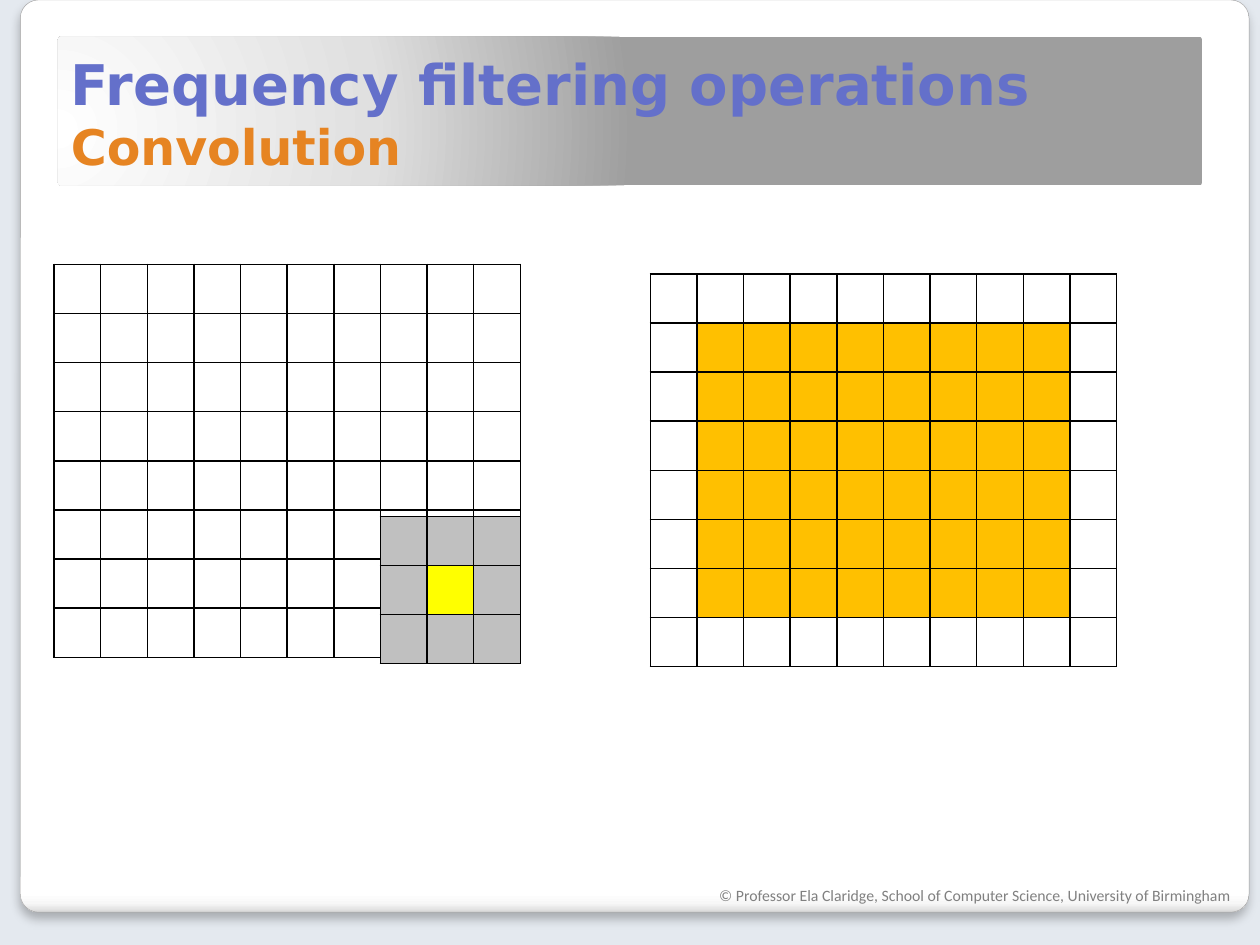
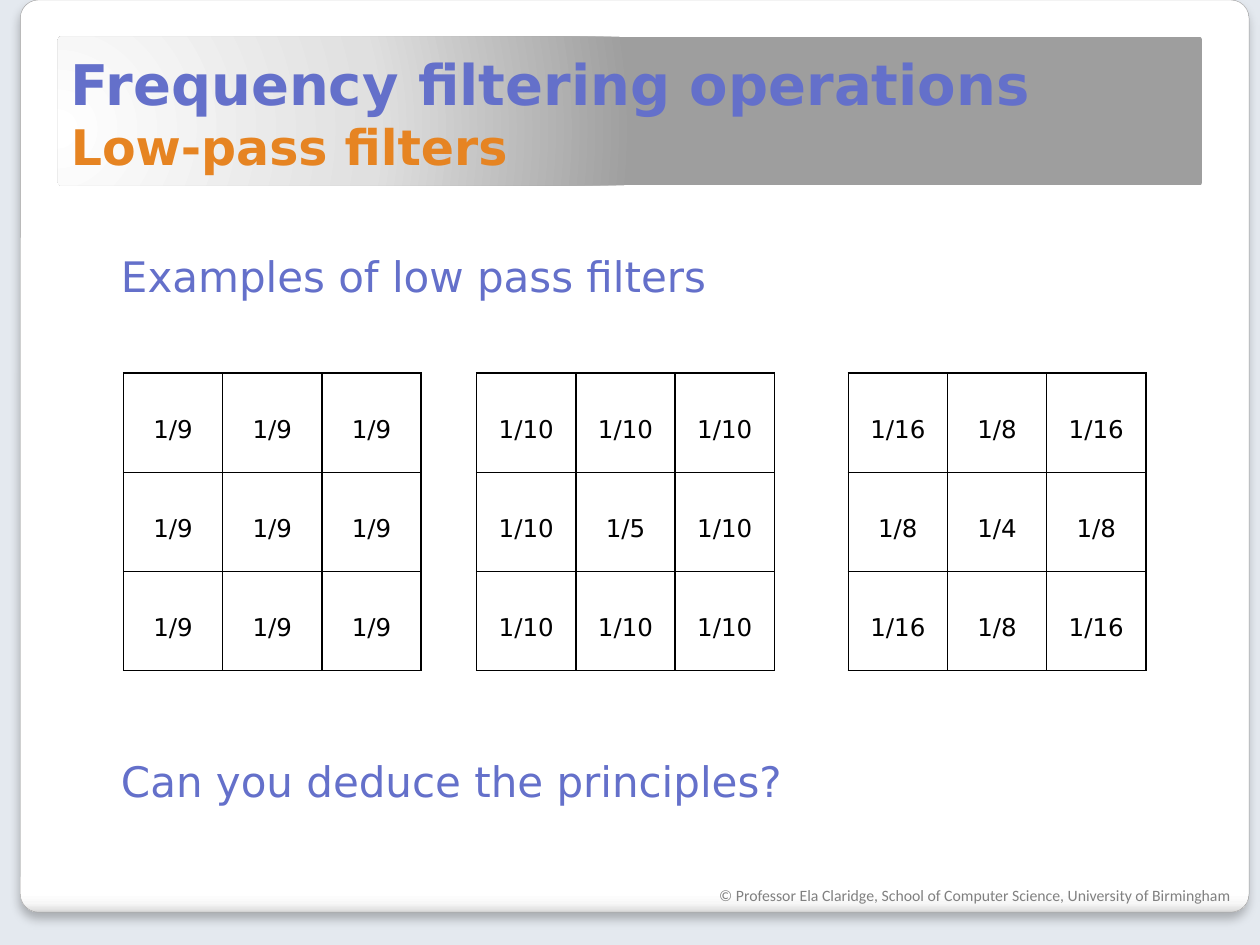
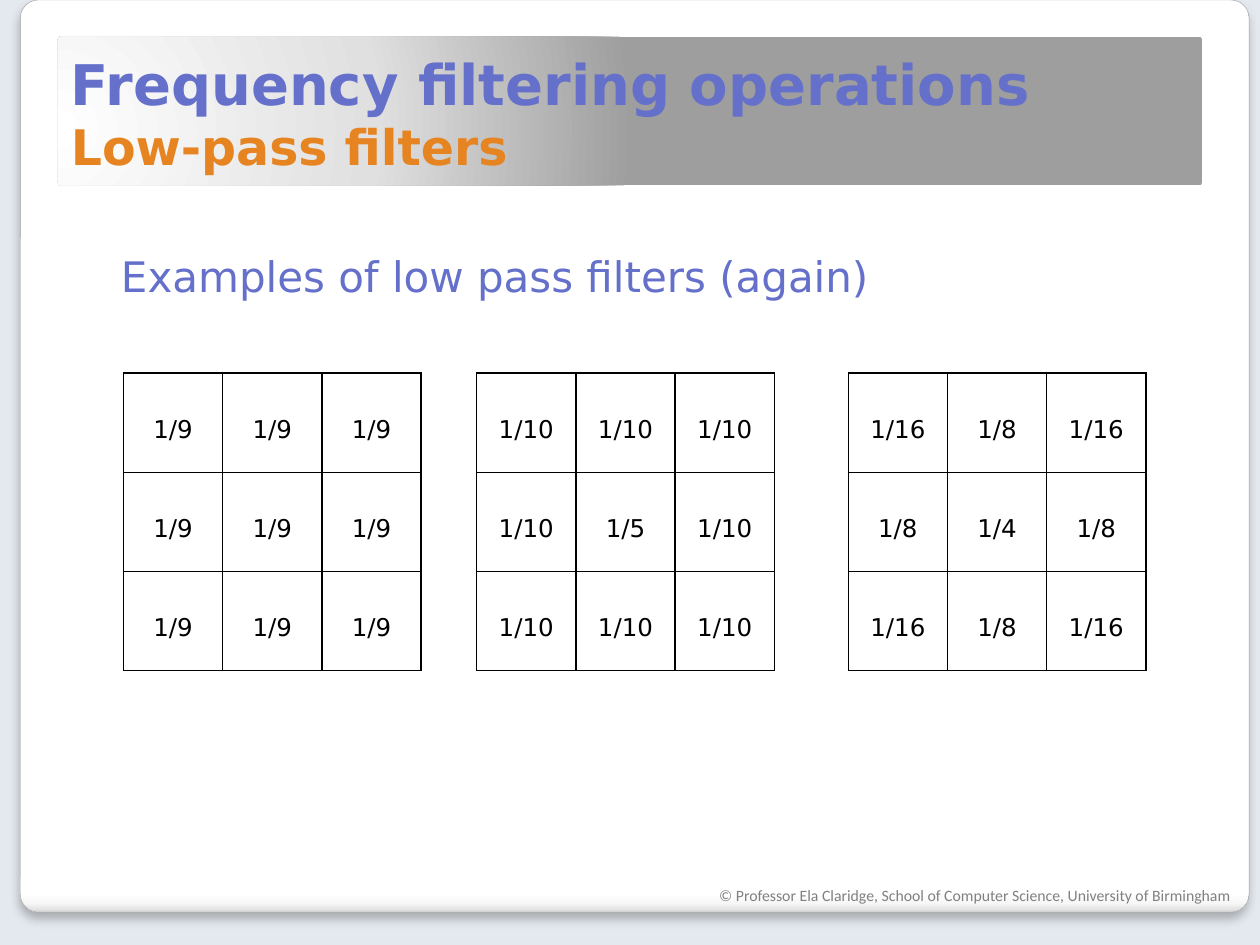
from lxml.etree import SubElement
from pptx import Presentation
from pptx.dml.color import RGBColor
from pptx.enum.shapes import MSO_SHAPE
from pptx.enum.text import MSO_ANCHOR, MSO_AUTO_SIZE, PP_ALIGN
from pptx.oxml.ns import qn
from pptx.util import Cm, Pt

FONT = "DejaVu Sans"
BACKGROUND = "E4E9EF"
BLUE = "6470CA"
ORANGE = "E68422"
BLACK = "000000"
GREY = "808080"
RESULT_FILL = "FFC000"
KERNEL_FILL = "C0C0C0"
CENTRE_FILL = "FFFF00"

HEADING = "Frequency filtering operations"
COPYRIGHT = "© Professor Ela Claridge, School of Computer Science, University of Birmingham"
PIXEL_SIZE = (0.94, 0.99)
FILTER_SIZE = (2, 2)
FILTER_TOP = 7.52
FILTERS = {
    2.49: [["1/9"] * 3] * 3,
    9.61: [["1/10"] * 3, ["1/10", "1/5", "1/10"], ["1/10"] * 3],
    17.1: [["1/16", "1/8", "1/16"], ["1/8", "1/4", "1/8"], ["1/16", "1/8", "1/16"]],
}


def colour(value):
    return RGBColor.from_string(value)


def lengths(box):
    return [Cm(value) for value in box]


def style_font(font, size, value, name=FONT, bold=False):
    font.size = Pt(size)
    font.name = name
    font.bold = bold
    font.color.rgb = colour(value)


def set_margins(frame, horizontal, vertical):
    frame.margin_left = frame.margin_right = Cm(horizontal)
    frame.margin_top = frame.margin_bottom = Cm(vertical)


def add_colour(parent, value, alpha=None):
    element = SubElement(parent, qn("a:srgbClr"), val=value)
    if alpha:
        SubElement(element, qn("a:alpha"), val=str(alpha * 1000))


def add_gradient(shape, stops):
    shape.fill.background()
    properties = shape.element.spPr
    empty_fill = properties.find(qn("a:noFill"))
    gradient = SubElement(properties, qn("a:gradFill"), rotWithShape="1")
    properties.replace(empty_fill, gradient)
    stop_list = SubElement(gradient, qn("a:gsLst"))
    for position, value in stops:
        add_colour(SubElement(stop_list, qn("a:gs"), pos=str(position * 1000)), value)
    return gradient


def add_panel(slide, box):
    panel = slide.shapes.add_shape(MSO_SHAPE.ROUNDED_RECTANGLE, *lengths(box))
    panel.adjustments[0] = 0.02
    panel.shadow.inherit = False
    return panel


def add_card(slide, box):
    card = add_panel(slide, box)
    stops = [(0, "FFFFFF"), (98, "FFFFFF"), (99, "F7F7F7"), (100, "D9D9D9")]
    SubElement(add_gradient(card, stops), qn("a:lin"), ang="5400000", scaled="0")
    card.line.color.rgb = colour("A2A1A1")
    card.line.width = Pt(0.25)
    effects = card.element.spPr.find(qn("a:effectLst"))
    shadow = SubElement(effects, qn("a:outerShdw"), blurRad=str(Pt(6)),
                        dist=str(Pt(4)), dir="5400000", rotWithShape="0")
    add_colour(shadow, BLACK, 25)
    return card


def add_title_band(slide, box):
    band = add_panel(slide, box)
    stops = [(0, "FFFFFF"), (55, "E0E0E0"), (100, "9E9E9E")]
    circle = SubElement(add_gradient(band, stops), qn("a:path"), path="circle")
    SubElement(circle, qn("a:fillToRect"), l="-20000", t="62000", r="120000", b="38000")
    band.line.fill.background()
    return band


def add_text(slide, text, box, size, value, name=FONT, margins=(0.13, 0.13)):
    text_box = slide.shapes.add_textbox(*lengths(box))
    frame = text_box.text_frame
    frame.word_wrap = True
    set_margins(frame, *margins)
    paragraph = frame.paragraphs[0]
    paragraph.text = text
    style_font(paragraph.font, size, value, name)
    return text_box


def decorate_layout(layout, slide):
    layout.background.fill.solid()
    layout.background.fill.fore_color.rgb = colour(BACKGROUND)
    parts = [
        add_card(slide, (0.41, 0, 24.77, 18.39)),
        add_title_band(slide, (1.17, 0.74, 23.06, 3)),
        add_text(slide, COPYRIGHT, (14.25, 17.73, 11.51, 0.66), 9, GREY,
                 "Calibri", (0.25, 0.13)),
    ]
    for index, part in enumerate(parts, start=2):
        layout.shapes.element.insert(index, part.element)


def fill_title(slide, subtitle, box):
    title = slide.shapes.title
    title.left, title.top, title.width, title.height = lengths(box)
    frame = title.text_frame
    frame.auto_size = MSO_AUTO_SIZE.NONE
    frame.vertical_anchor = MSO_ANCHOR.BOTTOM
    set_margins(frame, 0.13, 0.13)
    paragraph = frame.paragraphs[0]
    paragraph.alignment = PP_ALIGN.LEFT
    heading_run = paragraph.add_run()
    heading_run.text = HEADING
    style_font(heading_run.font, 32, BLUE, bold=True)
    paragraph.add_line_break()
    subtitle_run = paragraph.add_run()
    subtitle_run.text = subtitle
    style_font(subtitle_run.font, 28, ORANGE, bold=True)


def format_cell(cell, text, fill):
    properties = cell._tc.get_or_add_tcPr()
    for side in ("lnL", "lnR", "lnT", "lnB"):
        border = SubElement(properties, qn("a:" + side), w=str(Pt(1)))
        add_colour(SubElement(border, qn("a:solidFill")), BLACK)
    if fill:
        cell.fill.solid()
        cell.fill.fore_color.rgb = colour(fill)
    else:
        cell.fill.background()
    set_margins(cell, 0.13, 0.05)
    cell.vertical_anchor = MSO_ANCHOR.MIDDLE
    if text:
        paragraph = cell.text_frame.paragraphs[0]
        paragraph.text = text
        paragraph.alignment = PP_ALIGN.CENTER
        paragraph.line_spacing = 1.5
        style_font(paragraph.font, 14, BLACK)


def add_grid(slide, left, top, cell_size, texts, fill_at=lambda row, column: None):
    rows, columns = len(texts), len(texts[0])
    width, height = cell_size
    box = lengths((left, top, columns * width, rows * height))
    table = slide.shapes.add_table(rows, columns, *box).table
    table.first_row = table.horz_banding = False
    for column in table.columns:
        column.width = Cm(width)
    for row_index, row_texts in enumerate(texts):
        table.rows[row_index].height = Cm(height)
        for column_index, text in enumerate(row_texts):
            format_cell(table.cell(row_index, column_index), text,
                        fill_at(row_index, column_index))


def result_fill(row, column):
    return RESULT_FILL if 0 < row < 7 and 0 < column < 9 else None


def kernel_fill(row, column):
    return CENTRE_FILL if row == column == 1 else KERNEL_FILL


def build_convolution(slide):
    fill_title(slide, "Convolution", (1.3, 0.74, 22.73, 2.92))
    pixels = [[""] * 10] * 8
    kernel = [[""] * 3] * 3
    add_grid(slide, 1.09, 5.33, PIXEL_SIZE, pixels)
    add_grid(slide, 13.11, 5.52, PIXEL_SIZE, pixels, result_fill)
    add_grid(slide, 7.67, 10.41, PIXEL_SIZE, kernel, kernel_fill)


def build_low_pass(slide, captions):
    fill_title(slide, "Low-pass filters", (1.3, 0.74, 22.73, 2.92))
    for left, values in FILTERS.items():
        add_grid(slide, left, FILTER_TOP, FILTER_SIZE, values)
    for text, top, width in captions:
        add_text(slide, text, (2.31, top, width, 1.27), 24, BLUE)


def main():
    presentation = Presentation()
    presentation.slide_width = Cm(25.4)
    presentation.slide_height = Cm(19.05)
    layout = presentation.slide_layouts[5]
    convolution, filters, filters_again = [
        presentation.slides.add_slide(layout) for _ in range(3)
    ]
    decorate_layout(layout, convolution)
    build_convolution(convolution)
    build_low_pass(filters, [
        ("Examples of low pass filters", 4.93, 12.42),
        ("Can you deduce the principles?", 15.11, 13.87),
    ])
    build_low_pass(filters_again, [
        ("Examples of low pass filters (again)", 4.93, 15.8),
    ])
    presentation.save("out.pptx")


if __name__ == "__main__":
    main()
